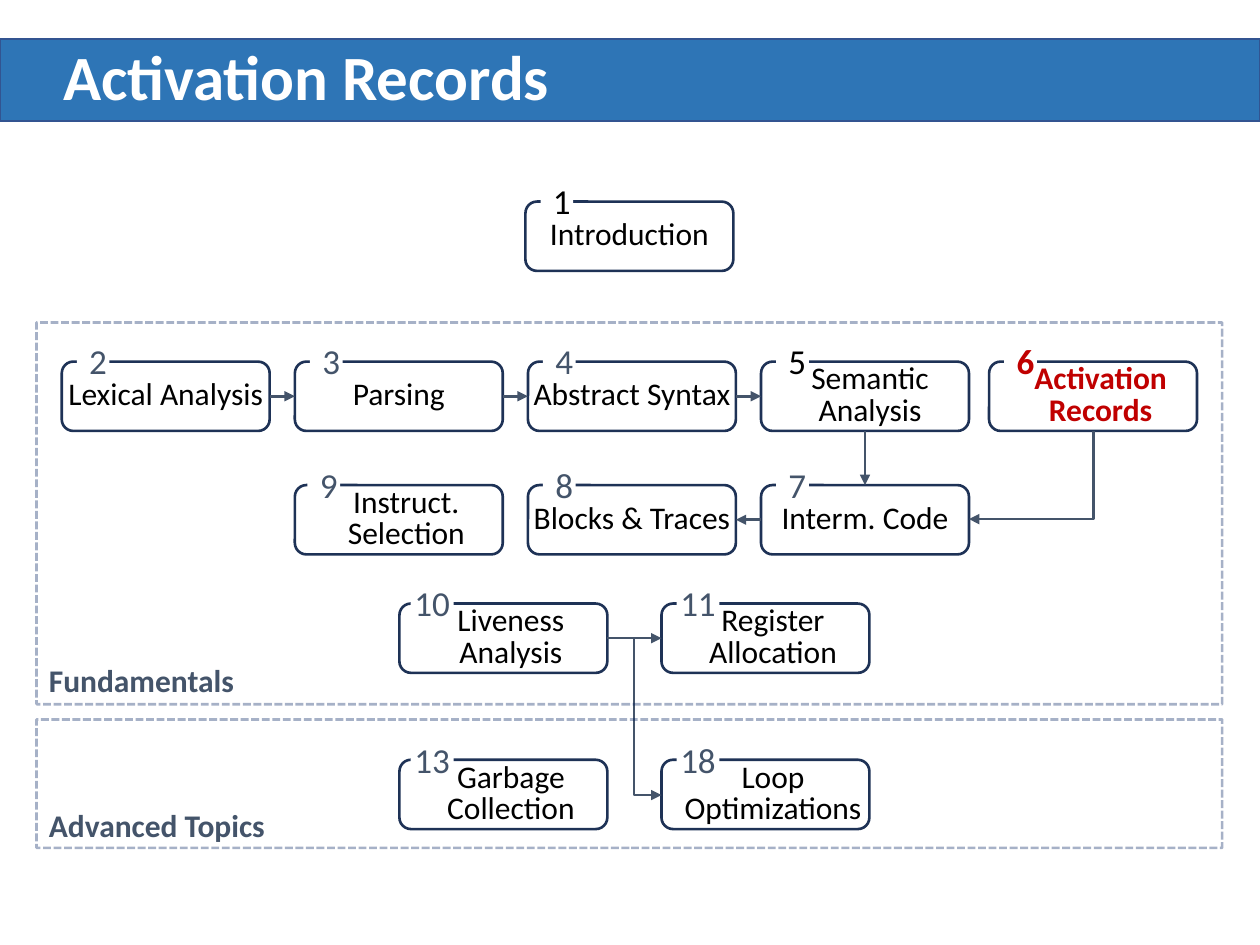
import pptx
import pptx.util
import pptx.dml.color
import pptx.enum.dml
import pptx.enum.shapes
import pptx.enum.text
import pptx.oxml.ns
import lxml.etree

Inches, Pt = pptx.util.Inches, pptx.util.Pt
Shapes = pptx.enum.shapes.MSO_SHAPE
Connectors = pptx.enum.shapes.MSO_CONNECTOR
Align, Anchor = pptx.enum.text.PP_ALIGN, pptx.enum.text.MSO_ANCHOR
qn = pptx.oxml.ns.qn

THEME = {
    "font": "Calibri", "title": 36, "label": 18, "number": 20,
    "white": "FFFFFF", "black": "000000", "slate": "44546A", "accent": "C00000",
    "band": "2E75B6", "band_line": "325491", "node_line": "1E3256",
    "frame_line": "002060", "frame_alpha": 35, "stroke": 1.5,
}
NODE_W, NODE_H = 1.65, 0.55
BADGE_RISE, BADGE_H = 0.16, 0.31
FRAME_LEFT, FRAME_W = 0.29, 9.41
COLUMNS = [0.49 + 1.85 * i for i in range(4)] + [7.85]
PAIR = [3.17, 5.25]

TITLE = "Activation Records"
CHAPTERS = [
    # number, label, left, top, left inset, badge offset, number colour
    (1, "Introduction", 4.17, 1.6, 0, 0.12, "black"),
    (2, "Lexical Analysis", COLUMNS[0], 2.87, 0, 0.12, "slate"),
    (3, "Parsing", COLUMNS[1], 2.87, 0, 0.12, "slate"),
    (4, "Abstract Syntax", COLUMNS[2], 2.87, 0, 0.12, "slate"),
    (5, "Semantic Analysis", COLUMNS[3], 2.87, 0.08, 0.12, "black"),
    (6, "Activation Records", COLUMNS[4], 2.87, 0.12, 0.12, "accent"),
    (7, "Interm. Code", COLUMNS[3], 3.85, 0, 0.12, "slate"),
    (8, "Blocks & Traces", COLUMNS[2], 3.85, 0, 0.12, "slate"),
    (9, "Instruct. Selection", COLUMNS[1], 3.85, 0.12, 0.1, "slate"),
    (10, "Liveness Analysis", PAIR[0], 4.79, 0.12, 0.09, "slate"),
    (11, "Register Allocation", PAIR[1], 4.79, 0.12, 0.12, "slate"),
    (13, "Garbage Collection", PAIR[0], 6.03, 0.12, 0.09, "slate"),
    (18, "Loop Optimizations", PAIR[1], 6.03, 0.12, 0.12, "slate"),
]
TOP, LEFT, BOTTOM, RIGHT = range(4)
ARROWS = [
    (2, RIGHT, 3, LEFT), (3, RIGHT, 4, LEFT), (4, RIGHT, 5, LEFT),
    (5, BOTTOM, 7, TOP), (7, LEFT, 8, RIGHT), (10, RIGHT, 11, LEFT),
]
ELBOWS = [((8.68, 3.42), (7.69, 4.12)), ((5.03, 5.07), (5.25, 6.31))]
PARTS = [("Fundamentals", 2.56, 3.03, 5.2), ("Advanced Topics", 5.71, 1.02, 6.35)]


def color(name):
    return pptx.dml.color.RGBColor.from_string(THEME[name])


def box(slide, kind, left, top, width, height, fill=None, line=None, weight=THEME["stroke"]):
    shape = slide.shapes.add_shape(kind, Inches(left), Inches(top), Inches(width), Inches(height))
    shape.shadow.inherit = False
    if fill:
        shape.fill.solid()
        shape.fill.fore_color.rgb = color(fill)
    else:
        shape.fill.background()
    if line:
        shape.line.color.rgb = color(line)
        shape.line.width = Pt(weight)
    else:
        shape.line.fill.background()
    return shape


def write(shape, text, size, tone, bold=False, align=Align.LEFT, spacing=None):
    frame = shape.text_frame
    frame.word_wrap = True
    frame.vertical_anchor = Anchor.MIDDLE
    paragraph = frame.paragraphs[0]
    paragraph.alignment = align
    if spacing:
        paragraph.line_spacing = spacing
    run = paragraph.add_run()
    run.text = text
    run.font.name = THEME["font"]
    run.font.size = Pt(THEME[size])
    run.font.bold = bold
    run.font.color.rgb = color(tone)
    return frame


def add_chapter(slide, number, label, left, top, inset, offset, tone):
    current = tone == "accent"
    node = box(slide, Shapes.ROUNDED_RECTANGLE, left, top, NODE_W, NODE_H, line="node_line")
    frame = write(node, label, "label", tone if current else "black", current, Align.CENTER, Pt(18))
    frame.margin_left = Inches(inset)
    frame.margin_right = frame.margin_top = frame.margin_bottom = 0
    wide = number > 9
    badge = box(slide, Shapes.RECTANGLE, left + offset, top - BADGE_RISE,
                0.34 if wide else 0.26, BADGE_H, fill="white")
    frame = write(badge, str(number), "number", tone, current, Align.CENTER)
    if wide:
        frame.margin_left = frame.margin_right = 0
    return node


def add_arrow(slide, kind, start, end):
    arrow = slide.shapes.add_connector(kind, *(Inches(v) for v in (*start, *end)))
    arrow.line.color.rgb = color("slate")
    arrow.line.width = Pt(THEME["stroke"])
    lxml.etree.SubElement(arrow.line._get_or_add_ln(), qn("a:tailEnd"), type="triangle")
    lxml.etree.SubElement(arrow._element.spPr, qn("a:effectLst"))
    return arrow


def add_down_then_across(slide, start, end):
    (x1, y1), (x2, y2) = start, end
    center_x, center_y = (x1 + x2) / 2, (y1 + y2) / 2
    side = 1 if x2 < x1 else -1
    reach, drop = abs(x2 - x1) / 2, (y2 - y1) / 2
    elbow = add_arrow(slide, Connectors.ELBOW,
                      (center_x - side * drop, center_y - reach),
                      (center_x + side * drop, center_y + reach))
    properties = elbow._element.spPr
    properties.find(qn("a:xfrm")).set("rot", str((90 if side > 0 else 270) * 60000))
    properties.find(qn("a:prstGeom")).set("prst", "bentConnector2")


def add_part(slide, name, top, height, label_top):
    outline = box(slide, Shapes.RECTANGLE, FRAME_LEFT, top, FRAME_W, height, line="frame_line")
    outline.line.dash_style = pptx.enum.dml.MSO_LINE.SQUARE_DOT
    outline_color = outline._element.spPr.find(".//" + qn("a:ln")).find(".//" + qn("a:srgbClr"))
    lxml.etree.SubElement(outline_color, qn("a:alpha"), val=str(THEME["frame_alpha"] * 1000))
    outline.line._get_or_add_ln().find(qn("a:prstDash")).set("val", "sysDash")
    caption = slide.shapes.add_textbox(Inches(FRAME_LEFT), Inches(label_top), Inches(5), Inches(0.4))
    write(caption, name, "label", "slate", bold=True)


def add_title(slide):
    band = box(slide, Shapes.RECTANGLE, 0, 0.31, 10, 0.65, fill="band", line="band_line", weight=1)
    slide.shapes._spTree.insert(2, band._element)
    heading = slide.shapes.title
    heading.left, heading.top = Inches(0.4), Inches(0.31)
    heading.width, heading.height = Inches(9.24), Inches(0.65)
    frame = write(heading, TITLE, "title", "white", bold=True, spacing=0.9)
    frame.auto_size = pptx.enum.text.MSO_AUTO_SIZE.NONE


def main():
    deck = pptx.Presentation()
    deck.slide_width, deck.slide_height = Inches(10), Inches(7.5)
    slide = deck.slides.add_slide(deck.slide_layouts[5])
    add_title(slide)
    nodes = {chapter[0]: add_chapter(slide, *chapter) for chapter in CHAPTERS}
    for source, source_side, target, target_side in ARROWS:
        arrow = add_arrow(slide, Connectors.STRAIGHT, (0, 0), (0, 0))
        arrow.begin_connect(nodes[source], source_side)
        arrow.end_connect(nodes[target], target_side)
    for start, end in ELBOWS:
        add_down_then_across(slide, start, end)
    for part in PARTS:
        add_part(slide, *part)
    deck.save("out.pptx")


if __name__ == "__main__":
    main()
